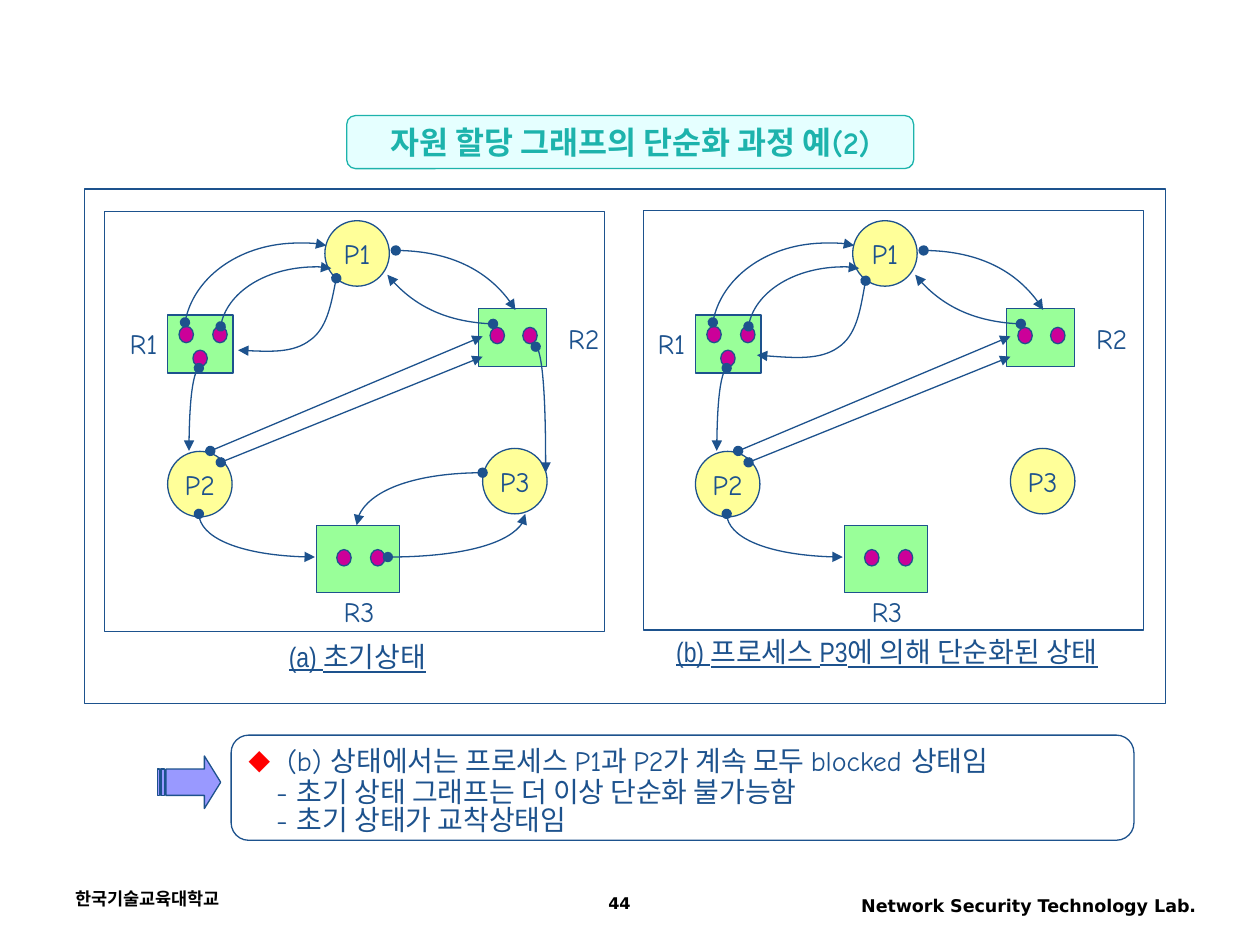
from lxml.etree import SubElement
from pptx import Presentation
from pptx.dml.color import RGBColor
from pptx.enum.shapes import MSO_CONNECTOR, MSO_SHAPE
from pptx.enum.text import MSO_ANCHOR, PP_ALIGN
from pptx.oxml.ns import qn
from pptx.util import Cm, Pt

NAVY, TEAL, BLACK = "1D528D", "1DB3AC", "000000"
YELLOW, GREEN, MAGENTA, LILAC = "FFFF99", "99FF99", "CC0099", "9999FF"
HAND, NARROW, SANS = "Comic Neue", "Arial Narrow", "DejaVu Sans"

# Content: all lengths in cm, graph positions as in panel (a)
TITLE = "자원 할당 그래프의 단순화 과정 예(2)"
CONCLUSION = [
    # text, bullet, left margin, hanging indent, line spacing
    ("(b) 상태에서는 프로세스 P1과 P2가 계속 모두 blocked 상태임", "◆", 0.78, -0.78, 1),
    ("- 초기 상태 그래프는 더 이상 단순화 불가능함", None, 0.56, 0, 0.3),
    ("- 초기 상태가 교착상태임", None, 0.56, 0, 0.3),
]
FOOTERS = [
    ("한국기술교육대학교", (1.27, 17.78, 5.92, 0.84), 10, PP_ALIGN.LEFT),
    ("Network Security Technology Lab.", (16.31, 17.91, 8.05, 0.81), 10, PP_ALIGN.RIGHT),
    ("44", (9.53, 17.88, 5.92, 0.71), 9.2, PP_ALIGN.CENTER),
]
PROCESSES = {"P1": (6.55, 4.45), "P2": (3.38, 9.1), "P3": (9.73, 9.04)}
RESOURCES = [
    # name, rectangle, label box, units
    ("R1", (3.38, 6.35, 1.32, 1.17), (2.36, 6.45, 1.07, 0.94),
     [(3.61, 6.58), (4.29, 6.58), (3.89, 7.06)]),
    ("R2", (9.65, 6.22, 1.37, 1.17), (11.2, 6.35, 1.14, 0.94),
     [(9.88, 6.6), (10.54, 6.6)]),
    ("R3", (6.38, 10.59, 1.68, 1.36), (6.68, 11.86, 1.12, 0.94),
     [(6.79, 11.08), (7.47, 11.08)]),
]
# Each curve: start point, then Bezier triples, from dot to arrowhead
SHARED_CURVES = [
    [(7.98, 5.05), (9.02, 5.05), (9.96, 5.51), (10.39, 6.25)],    # P1 to R2
    [(9.94, 6.53), (9.05, 6.5), (8.26, 6.12), (7.81, 5.54)],      # R2 to P1
    [(4.45, 6.58), (4.55, 5.92), (5.38, 5.38), (6.38, 5.38),
     (6.48, 5.38), (6.58, 5.41), (6.68, 5.41)],                   # R1 to P1, inner
    [(3.73, 6.5), (3.89, 5.59), (4.88, 4.9), (6.02, 4.9),
     (6.22, 4.9), (6.4, 4.9), (6.58, 4.95)],                      # R1 to P1, outer
    [(4.01, 7.42), (3.91, 7.42), (3.81, 8.18), (3.81, 9.09)],     # R1 to P2
    [(4.01, 10.36), (4.01, 10.85), (5.05, 11.23), (6.35, 11.23)],  # P2 to R3
]
INITIAL_CURVES = [
    [(6.78, 5.61), (6.68, 6.12), (6.58, 6.63), (6.25, 6.86),
     (5.92, 7.11), (5.36, 7.09), (4.8, 7.06)],                    # P1 to R1
    [(10.8, 6.99), (10.92, 6.99), (11, 8.03), (11, 9.32),
     (11, 9.39), (11, 9.45), (11, 9.53)],                         # R2 to P3
    [(9.73, 9.53), (8.33, 9.53), (7.19, 10.01), (7.19, 10.59)],   # P3 to R3
    [(7.82, 11.23), (9.35, 11.23), (10.59, 10.85), (10.59, 10.36)],  # R3 to P3
]
REDUCED_CURVES = [
    [(6.81, 5.66), (6.71, 6.2), (6.63, 6.76), (6.25, 7.01),
     (5.89, 7.26), (5.26, 7.21), (4.62, 7.16)],                   # P1 to R1
]
REQUESTS = [((4.24, 9.09), (9.73, 6.78)), ((4.45, 9.32), (9.73, 7.19))]  # P2 to R2
PANELS = [
    # graph offset, frame, caption, caption box, own curves
    (0, (2.11, 4.27, 10.08, 8.46), "(a) 초기상태",
     (3.61, 12.7, 7.19, 1.07), INITIAL_CURVES),
    (10.64, (12.98, 4.24, 10.08, 8.46), "(b) 프로세스 P3에 의해 단순화된 상태",
     (12.7, 12.5, 10.36, 1.27), REDUCED_CURVES),
]

deck = Presentation()
deck.slide_width, deck.slide_height = Cm(25.4), Cm(19.05)
slide = deck.slides.add_slide(deck.slide_layouts[6])


def color(hex_string):
    return RGBColor.from_string(hex_string)


def shifted(box, dx):
    return (box[0] + dx, *box[1:])


def outline(item, line_color=NAVY):
    item.line.color.rgb = color(line_color)
    item.line.width = Pt(0.75)


def add_box(kind, box, fill=None, line_color=NAVY):
    item = slide.shapes.add_shape(kind, *map(Cm, box))
    item.shadow.inherit = False
    if fill:
        item.fill.solid()
        item.fill.fore_color.rgb = color(fill)
    else:
        item.fill.background()
    outline(item, line_color)
    return item


def write(paragraph, text, size, font, ink=NAVY, **style):
    run = paragraph.add_run()
    run.text = text
    run.font.size, run.font.name = Pt(size), font
    run.font.color.rgb = color(ink)
    for key, value in style.items():
        setattr(run.font, key, value)


def center(item, text, size=16, font=HAND, ink=NAVY, **style):
    frame = item.text_frame
    frame.word_wrap = False
    frame.vertical_anchor = MSO_ANCHOR.MIDDLE
    frame.paragraphs[0].alignment = PP_ALIGN.CENTER
    write(frame.paragraphs[0], text, size, font, ink, **style)


def add_label(box, text, **style):
    center(slide.shapes.add_textbox(*map(Cm, box)), text, **style)


def add_ends(item):
    outline(item)
    ln = item.element.find(".//" + qn("a:ln"))
    SubElement(ln, qn("a:headEnd"), type="oval")
    SubElement(ln, qn("a:tailEnd"), type="triangle")


def add_curve(points, dx):
    start, *rest = [(Cm(x + dx), Cm(y)) for x, y in points]
    builder = slide.shapes.build_freeform(*start)
    builder.add_line_segments(rest, close=False)
    curve = builder.convert_to_shape()
    curve.shadow.inherit = False
    curve.fill.background()
    # Turn each three straight segments into one cubic segment
    outline_xml = next(curve.element.iter(qn("a:path")))
    segments = outline_xml.findall(qn("a:lnTo"))
    for i in range(0, len(segments), 3):
        cubic = SubElement(outline_xml, qn("a:cubicBezTo"))
        for segment in segments[i:i + 3]:
            cubic.append(segment[0])
            outline_xml.remove(segment)
    add_ends(curve)


def add_request(start, end, dx):
    line = slide.shapes.add_connector(
        MSO_CONNECTOR.STRAIGHT, Cm(start[0] + dx), Cm(start[1]), Cm(end[0] + dx), Cm(end[1]))
    add_ends(line)
    SubElement(line.element.spPr, qn("a:effectLst"))


# Footer
for text, box, size, alignment in FOOTERS:
    frame = slide.shapes.add_textbox(*map(Cm, box)).text_frame
    frame.word_wrap = True
    frame.paragraphs[0].alignment = alignment
    write(frame.paragraphs[0], text, size, SANS, BLACK, bold=True)

# Title
title = add_box(MSO_SHAPE.FLOWCHART_ALTERNATE_PROCESS, (6.99, 2.33, 11.43, 1.07), "CCFFFF", TEAL)
SubElement(title.element.find(".//" + qn("a:srgbClr")), qn("a:alpha"), val="50000")
center(title, TITLE, 18, ink=TEAL, bold=True)

# Allocation graphs
add_box(MSO_SHAPE.RECTANGLE, (1.7, 3.81, 21.8, 10.37))
for dx, panel, caption, caption_box, own_curves in PANELS:
    add_box(MSO_SHAPE.RECTANGLE, panel)
    add_label(caption_box, caption, font=NARROW, underline=True)
    for name, corner in PROCESSES.items():
        center(add_box(MSO_SHAPE.OVAL, shifted((*corner, 1.3, 1.32), dx), YELLOW), name)
    for name, box, label_box, units in RESOURCES:
        add_box(MSO_SHAPE.RECTANGLE, shifted(box, dx), GREEN)
        add_label(shifted(label_box, dx), name)
        for unit in units:
            add_box(MSO_SHAPE.OVAL, shifted((*unit, 0.29, 0.33), dx), MAGENTA)
    for points in SHARED_CURVES + own_curves:
        add_curve(points, dx)
    for start, end in REQUESTS:
        add_request(start, end, dx)

# Conclusion
arrow = add_box(MSO_SHAPE.STRIPED_RIGHT_ARROW, (3.18, 15.24, 1.27, 1.06), LILAC)
arrow.adjustments[1] = 0.31
conclusion = add_box(MSO_SHAPE.FLOWCHART_ALTERNATE_PROCESS, (4.66, 14.82, 18.2, 2.12))
frame = conclusion.text_frame
frame.word_wrap = False
frame.vertical_anchor = MSO_ANCHOR.MIDDLE
for i, (text, bullet, margin, indent, spacing) in enumerate(CONCLUSION):
    paragraph = frame.add_paragraph() if i else frame.paragraphs[0]
    paragraph.alignment = PP_ALIGN.LEFT
    paragraph.line_spacing = spacing
    if i:
        paragraph.space_before = Pt(10)
    props = paragraph._p.get_or_add_pPr()
    props.set("marL", str(Cm(margin)))
    props.set("indent", str(Cm(indent)))
    if bullet:
        SubElement(SubElement(props, qn("a:buClr")), qn("a:srgbClr"), val="FF0000")
        SubElement(props, qn("a:buFont"), typeface=SANS)
        SubElement(props, qn("a:buChar"), char=bullet)
    write(paragraph, text, 16, HAND)

deck.save("out.pptx")
